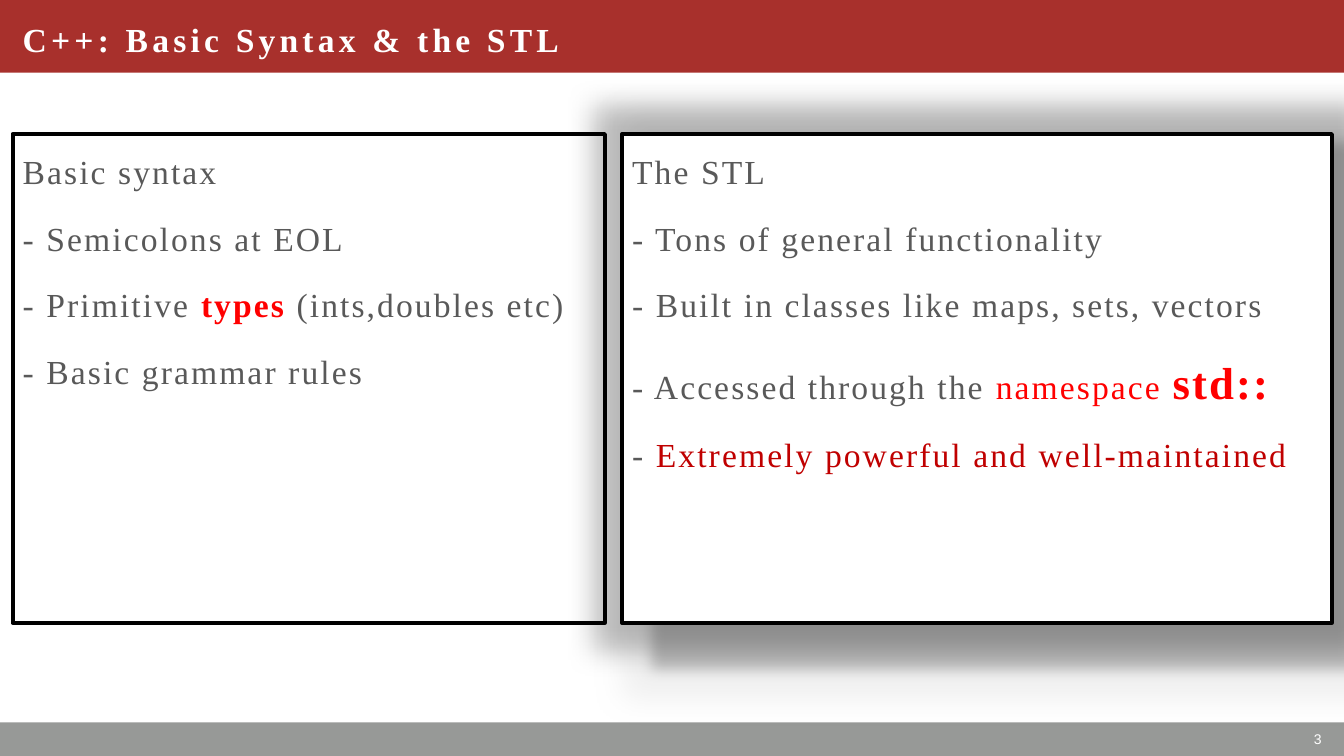
from dataclasses import dataclass

import pptx
import pptx.dml.color
import pptx.enum.shapes
import pptx.enum.text
import pptx.oxml
import pptx.oxml.ns
import pptx.util
from pptx.dml.color import RGBColor
from pptx.util import Pt

RED_BAND = RGBColor(0xA8, 0x30, 0x2C)
GREY_BAND = RGBColor(0x97, 0x99, 0x97)
WHITE = RGBColor(0xFF, 0xFF, 0xFF)
BLACK = RGBColor(0, 0, 0)
BODY_GREY = RGBColor(0x59, 0x59, 0x59)
BRIGHT_RED = RGBColor(0xFF, 0, 0)
DARK_RED = RGBColor(0xC0, 0, 0)

SLIDE_WIDTH, SLIDE_HEIGHT = 960, 540
SERIF = "Times New Roman"
HALO = (
    '<a:effectLst xmlns:a="http://schemas.openxmlformats.org/drawingml/2006/main">'
    '<a:glow rad="508000"><a:srgbClr val="000000"><a:alpha val="25000"/></a:srgbClr></a:glow>'
    '<a:outerShdw blurRad="127000" sx="105000" sy="107000" algn="ctr" rotWithShape="0">'
    '<a:srgbClr val="000000"><a:alpha val="25000"/></a:srgbClr></a:outerShdw>'
    '</a:effectLst>'
)


@dataclass(frozen=True)
class TextRun:
    text: str
    color: RGBColor = BODY_GREY
    size: float = 24
    bold: bool = False
    spacing: float = 1.5
    font: str = SERIF


@dataclass(frozen=True)
class Box:
    left: float
    top: float
    width: float
    height: float


@dataclass(frozen=True)
class Panel:
    box: Box
    lines: list[list[TextRun]]
    raised: bool = False


BANDS = [
    (Box(0, 516, SLIDE_WIDTH, 24), GREY_BAND),
    (Box(0, 0, SLIDE_WIDTH, 52), RED_BAND),
]
PANELS = [
    Panel(Box(9, 95.8, 423, 349), [
        [TextRun("Basic syntax")],
        [TextRun("- Semicolons at EOL")],
        [TextRun("- Primitive "), TextRun("types", BRIGHT_RED, bold=True),
         TextRun(" (ints,doubles etc)")],
        [TextRun("- Basic grammar rules")],
    ]),
    Panel(Box(444.3, 95.8, 507, 349), [
        [TextRun("The STL")],
        [TextRun("- Tons of general functionality")],
        [TextRun("- Built in classes like maps, sets, vectors")],
        [TextRun("- Accessed through the "), TextRun("namespace ", BRIGHT_RED),
         TextRun("std::", BRIGHT_RED, 32, True)],
        [TextRun("- "), TextRun("Extremely powerful and well-maintained", DARK_RED)],
    ], raised=True),
]


def place(shape: pptx.shapes.base.BaseShape, box: Box) -> None:
    shape.left, shape.top = Pt(box.left), Pt(box.top)
    shape.width, shape.height = Pt(box.width), Pt(box.height)


def add_run(paragraph: pptx.text.text._Paragraph, text_run: TextRun) -> None:
    run = paragraph.add_run()
    run.text = text_run.text
    run.font.name = text_run.font
    run.font.size = Pt(text_run.size)
    run.font.bold = text_run.bold
    run.font.color.rgb = text_run.color
    run.font._element.set("spc", str(int(text_run.spacing * 100)))


def prepare_frame(shape: pptx.shapes.base.BaseShape,
                  anchor: pptx.enum.text.MSO_ANCHOR) -> pptx.text.text.TextFrame:
    frame = shape.text_frame
    frame.word_wrap = True
    frame.auto_size = pptx.enum.text.MSO_AUTO_SIZE.NONE
    frame.vertical_anchor = anchor
    return frame


def add_band(slide: pptx.slide.Slide, box: Box, color: RGBColor) -> None:
    """Draw a full-width band behind the placeholders."""
    band = slide.shapes.add_shape(
        pptx.enum.shapes.MSO_SHAPE.RECTANGLE,
        Pt(box.left), Pt(box.top), Pt(box.width), Pt(box.height))
    band.shadow.inherit = False
    band.fill.solid()
    band.fill.fore_color.rgb = color
    band.line.fill.background()
    slide.shapes._spTree.insert(2, band._element)


def fill_panel(shape: pptx.shapes.base.BaseShape, panel: Panel) -> None:
    place(shape, panel.box)
    shape.line.color.rgb = BLACK
    shape.line.width = Pt(3)
    if panel.raised:
        shape.fill.solid()
        shape.fill.fore_color.rgb = WHITE
        shape._element.spPr.append(pptx.oxml.parse_xml(HALO))
    frame = prepare_frame(shape, pptx.enum.text.MSO_ANCHOR.TOP)
    for index, line in enumerate(panel.lines):
        paragraph = frame.add_paragraph() if index else frame.paragraphs[0]
        properties = paragraph._element.get_or_add_pPr()
        properties.set("marL", "0")
        properties.set("indent", "0")
        properties.append(properties.makeelement(pptx.oxml.ns.qn("a:buNone"), {}))
        paragraph.line_spacing = 1.3
        paragraph.space_before = Pt(0)
        paragraph.space_after = Pt(10)
        for text_run in line:
            add_run(paragraph, text_run)


def add_title(slide: pptx.slide.Slide) -> None:
    title = slide.shapes.title
    place(title, Box(9, 0, 511, 55.4))
    paragraph = prepare_frame(title, pptx.enum.text.MSO_ANCHOR.MIDDLE).paragraphs[0]
    paragraph.alignment = pptx.enum.text.PP_ALIGN.LEFT
    add_run(paragraph, TextRun("C++: Basic Syntax & the STL", WHITE, bold=True, spacing=3))


def add_page_number(slide: pptx.slide.Slide) -> None:
    number = slide.shapes.add_textbox(Pt(738.7), Pt(515), Pt(212.4), Pt(25))
    paragraph = prepare_frame(number, pptx.enum.text.MSO_ANCHOR.MIDDLE).paragraphs[0]
    paragraph.alignment = pptx.enum.text.PP_ALIGN.RIGHT
    add_run(paragraph, TextRun("3", WHITE, 10, spacing=0, font="Arial"))


def main() -> None:
    presentation = pptx.Presentation()
    presentation.slide_width, presentation.slide_height = Pt(SLIDE_WIDTH), Pt(SLIDE_HEIGHT)
    slide = presentation.slides.add_slide(presentation.slide_layouts[3])
    for box, color in BANDS:
        add_band(slide, box, color)
    add_title(slide)
    for index, panel in enumerate(PANELS, start=1):
        fill_panel(slide.placeholders[index], panel)
    add_page_number(slide)
    presentation.save("out.pptx")


if __name__ == "__main__":
    main()
